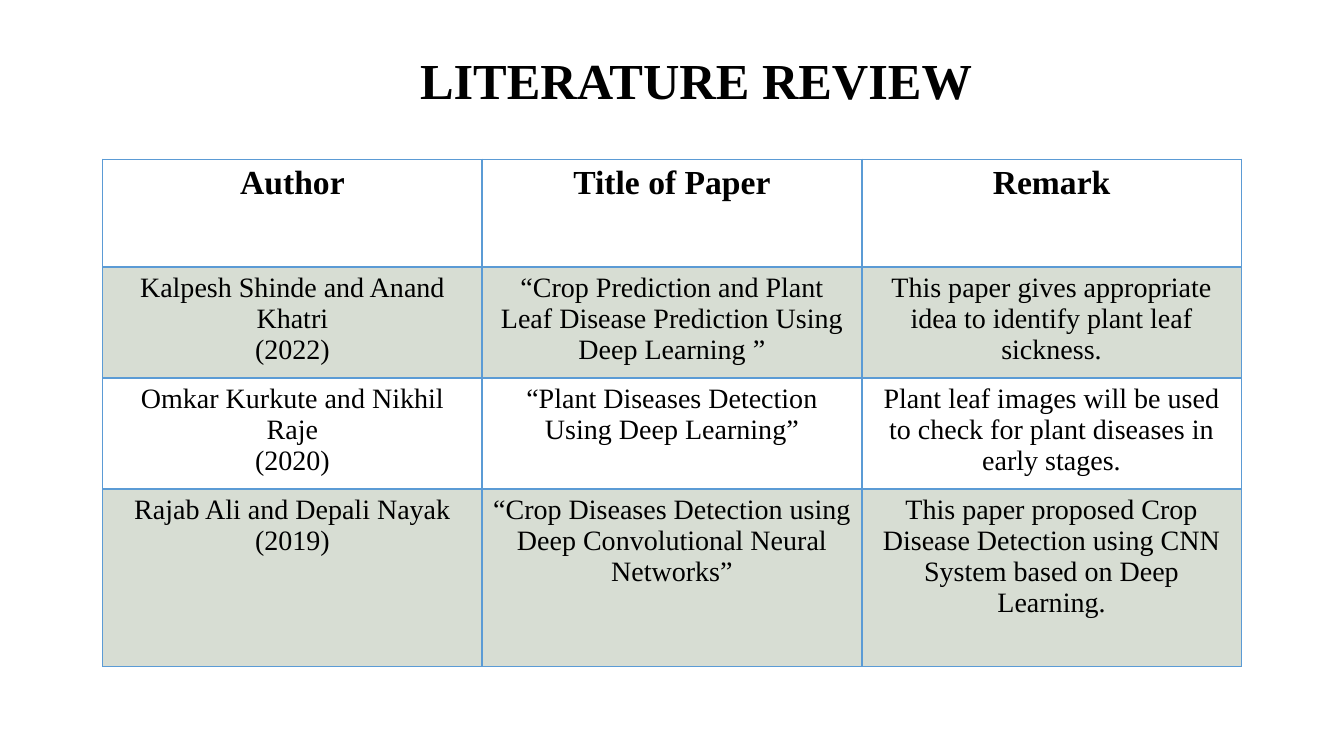
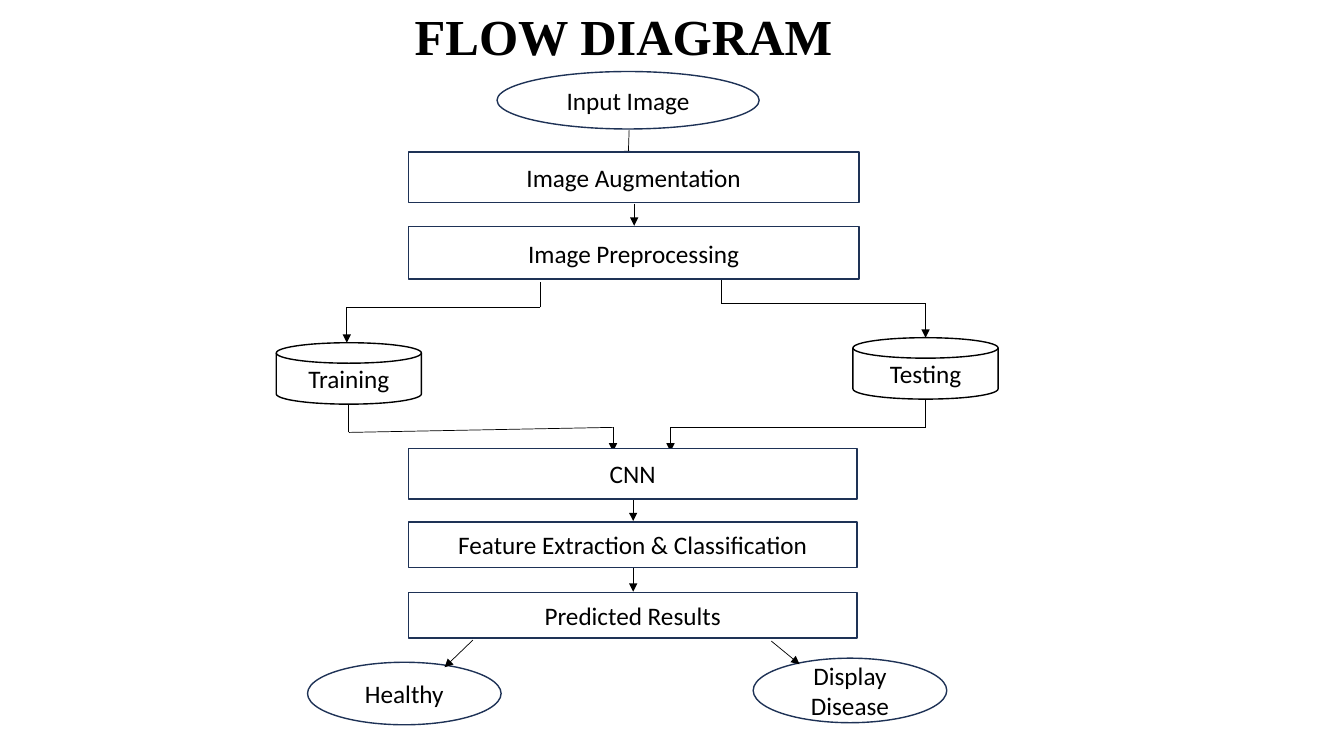
from itertools import pairwise

from lxml.etree import SubElement
from pptx import Presentation
from pptx.dml.color import RGBColor
from pptx.enum.shapes import MSO_CONNECTOR, MSO_SHAPE
from pptx.enum.text import MSO_ANCHOR, PP_ALIGN
from pptx.oxml.ns import qn
from pptx.util import Inches, Pt

BLACK, WHITE, NAVY = "000000", "FFFFFF", "1E3256"
BORDER, BAND = "5B9BD5", "D7DDD3"
SERIF, SANS = "Times New Roman", "Calibri"


def rgb(color):
    return RGBColor.from_string(color)


class Deck:
    """Holds the style and the current slide."""

    def __init__(self):
        self.prs = Presentation()
        self.prs.slide_width = Inches(13.33)
        self.prs.slide_height = Inches(7.5)
        self.s = None

    def slide(self, title, left, top, width):
        self.s = self.prs.slides.add_slide(self.prs.slide_layouts[6])
        box = self.s.shapes.add_textbox(*map(Inches, (left, top, width, 0.71)))
        box.text_frame.word_wrap = True
        self.set_text(box.text_frame, title, 36, SERIF, bold=True)

    def set_text(self, tf, text, size, font, bold=False):
        tf.text = text
        for p in tf.paragraphs:
            p.alignment = PP_ALIGN.CENTER
            for r in p.runs:
                r.font.size = Pt(size)
                r.font.name = font
                r.font.bold = bold
                r.font.color.rgb = rgb(BLACK)

    def node(self, kind, text, at, line=NAVY):
        sp = self.s.shapes.add_shape(kind, *map(Inches, at))
        sp.shadow.inherit = False
        sp.fill.solid()
        sp.fill.fore_color.rgb = rgb(WHITE)
        sp.line.color.rgb = rgb(line)
        sp.line.width = Pt(1)
        sp.text_frame.vertical_anchor = MSO_ANCHOR.MIDDLE
        self.set_text(sp.text_frame, text, 18, SANS)

    def route(self, *points):
        """Join the points with straight lines, the last one with an arrowhead."""
        for start, end in pairwise(points):
            connector = self.s.shapes.add_connector(
                MSO_CONNECTOR.STRAIGHT, *map(Inches, start + end))
            connector.line.color.rgb = rgb(BLACK)
            connector.line.width = Pt(0.5)
            spPr = connector._element.spPr
            if end == points[-1]:
                SubElement(spPr.get_or_add_ln(), qn("a:tailEnd"), type="triangle")
            SubElement(spPr, qn("a:effectLst"))

    def border(self, cell, side, width):
        ln = SubElement(cell._tc.get_or_add_tcPr(), qn(f"a:ln{side}"), w=str(Pt(width)))
        fill = SubElement(ln, qn("a:solidFill"))
        SubElement(fill, qn("a:srgbClr"), val=BORDER)

    def table(self, rows, at, widths, heights):
        frame = self.s.shapes.add_table(
            len(rows), len(widths), *map(Inches, (*at, sum(widths), sum(heights))))
        table = frame.table
        table.horz_banding = False
        for column, width in zip(table.columns, widths):
            column.width = Inches(width)
        for i, (row, height) in enumerate(zip(rows, heights)):
            table.rows[i].height = Inches(height)
            header = i == 0
            for j, text in enumerate(row):
                cell = table.cell(i, j)
                self.set_text(cell.text_frame, text, 24 if header else 20, SERIF, header)
                for side in "LRTB":
                    below_header = (i, side) in ((0, "B"), (1, "T"))
                    self.border(cell, side, 2 if below_header else 1)
                if i % 2:
                    cell.fill.solid()
                    cell.fill.fore_color.rgb = rgb(BAND)
                else:
                    cell.fill.background()


def literature_review(deck):
    deck.slide("LITERATURE REVIEW", 2.66, 0.44, 8.49)
    rows = [
        ("Author", "Title of Paper", "Remark"),
        ("Kalpesh Shinde and Anand Khatri\n(2022)",
         "“Crop Prediction and Plant Leaf Disease Prediction Using Deep Learning ”",
         "This paper gives appropriate idea to identify plant leaf sickness."),
        ("Omkar Kurkute and Nikhil Raje\n(2020)",
         "“Plant Diseases Detection Using Deep Learning”",
         "Plant leaf images will be used to check for plant diseases in early stages."),
        ("Rajab Ali and Depali Nayak\n(2019)",
         "“Crop Diseases Detection using Deep Convolutional Neural Networks”",
         "This paper proposed Crop Disease Detection using CNN System "
         "based on Deep Learning."),
    ]
    deck.table(rows, (1.02, 1.58), (3.76, 3.77, 3.76), (1.07, 1.1, 1.1, 1.76))


def flow_diagram(deck):
    deck.slide("FLOW DIAGRAM", 2.47, 0, 7.43)

    # Incoming arrows run slightly under the boxes they reach
    deck.route((6.24, 1.29), (6.23, 1.58))
    for x, top, bottom in ((6.29, 2.02, 2.24), (6.28, 4.95, 5.17), (6.28, 5.63, 5.87)):
        deck.route((x, top), (x, bottom))
    deck.route((5.36, 2.8), (5.36, 3.05), (3.44, 3.05), (3.44, 3.4))
    deck.route((7.15, 2.78), (7.15, 3.01), (9.18, 3.01), (9.18, 3.35))
    deck.route((3.46, 4), (3.46, 4.29), (6.08, 4.24), (6.08, 4.48))
    deck.route((9.18, 3.96), (9.18, 4.24), (6.65, 4.24), (6.65, 4.48))

    steps = [
        ("Image Augmentation", 1.51, 4.47, 0.5),
        ("Image Preprocessing", 2.25, 4.47, 0.52),
        ("CNN", 4.45, 4.45, 0.5),
        ("Feature Extraction & Classification", 5.18, 4.45, 0.45),
        ("Predicted Results", 5.88, 4.45, 0.45),
    ]
    for text, top, width, height in steps:
        deck.node(MSO_SHAPE.RECTANGLE, text, (4.05, top, width, height))
    for text, left, top in (("Training", 2.74, 3.4), ("Testing", 8.46, 3.35)):
        deck.node(MSO_SHAPE.FLOWCHART_MAGNETIC_DISK, text, (left, top, 1.44, 0.61), BLACK)
    terminals = [
        ("Input Image", (4.93, 0.71, 2.6, 0.57)),
        ("Healthy", (3.05, 6.57, 1.92, 0.62)),
        ("Display Disease", (7.47, 6.53, 1.92, 0.64)),
    ]
    for text, at in terminals:
        deck.node(MSO_SHAPE.OVAL, text, at)

    # Outcome arrows lie over the ellipses
    deck.route((4.69, 6.35), (4.41, 6.62))
    deck.route((7.65, 6.36), (7.93, 6.59))


def main():
    deck = Deck()
    literature_review(deck)
    flow_diagram(deck)
    deck.prs.save("out.pptx")


if __name__ == "__main__":
    main()
